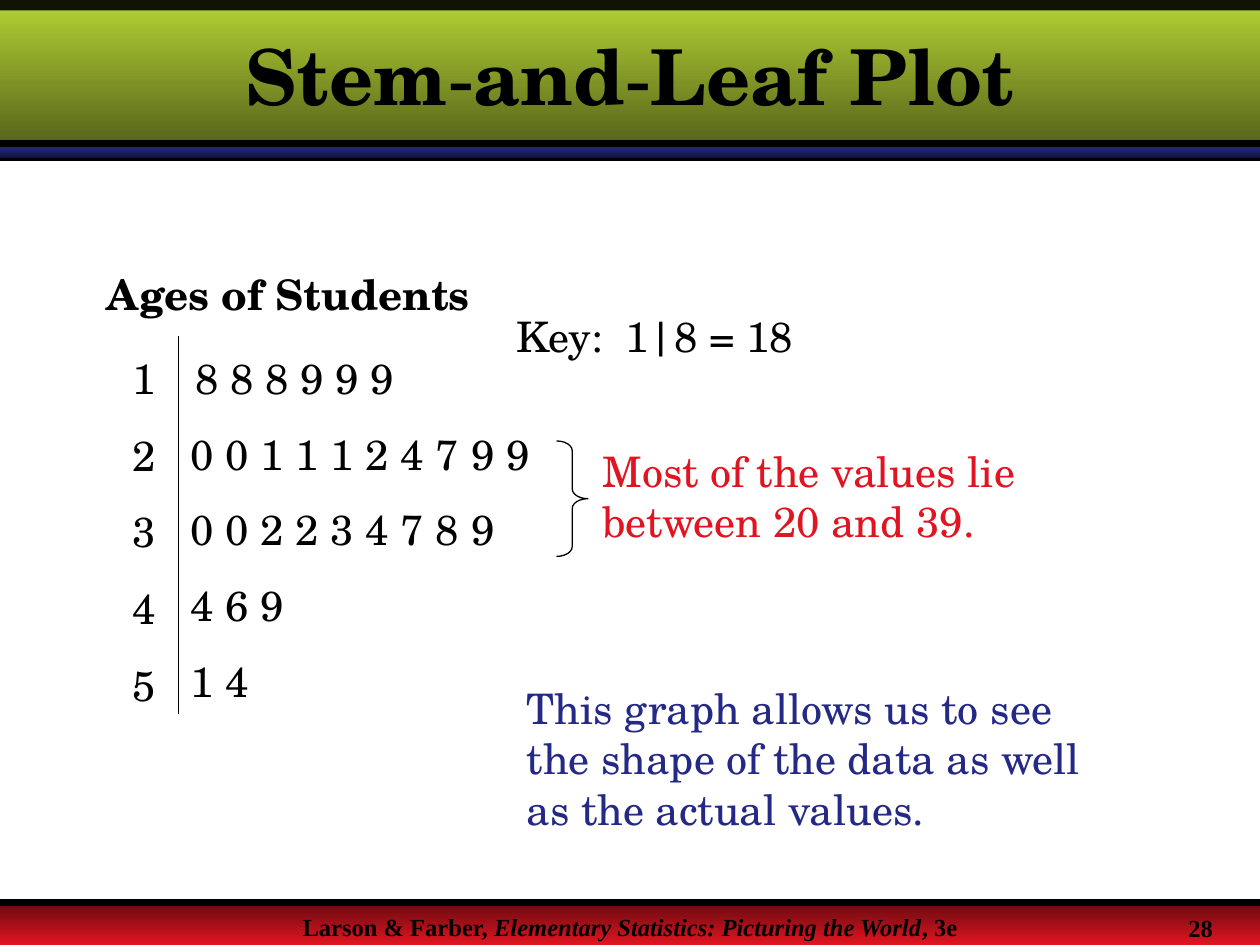
import pptx
import pptx.util
import pptx.dml.color
import pptx.enum.shapes
import pptx.enum.text
import pptx.oxml
import pptx.oxml.ns
from lxml import etree

# The slide is a grid of 120 columns by 90 rows; a box is (left, top, width, height).
COLS, ROWS = 120, 90
UNIT = pptx.util.Inches(10) // COLS
SERIF, TIMES = "TeX Gyre Schola", "Times New Roman"
INK = {
    "black": "000000", "lime": "B5D335", "moss": "546219",
    "navy": "242985", "night": "11133E", "wine": "680A0F", "red": "E11521",
}
ALIGN = pptx.enum.text.PP_ALIGN
SHAPE = pptx.enum.shapes.MSO_SHAPE
STEMS = {
    "1": "8 8 8 9 9 9",
    "2": "0 0 1 1 1 2 4 7 9 9",
    "3": "0 0 2 2 3 4 7 8 9",
    "4": "4 6 9",
    "5": "1 4",
}


def rgb(name):
    return pptx.dml.color.RGBColor.from_string(INK[name])


def emu(*units):
    return [round(u * UNIT) for u in units]


def part(box, x, y, w, h):
    """Shift a box by the corner of the region that holds it."""
    return box[0] + x, box[1] + y, w, h


def child(node, tag, **attrs):
    return etree.SubElement(node, pptx.oxml.ns.qn(tag), **attrs)


def band(slide, box, top, end=None, alpha=None):
    """Rectangle in one colour, or fading downwards to a second one."""
    rect = slide.shapes.add_shape(SHAPE.RECTANGLE, *emu(*box))
    rect.shadow.inherit = False
    rect.line.fill.background()
    if end:
        rect.fill.gradient()
        rect.fill.gradient_angle = 270
        for stop, name, place in zip(rect.fill.gradient_stops, (top, end), (0, 1)):
            stop.color.rgb = rgb(name)
            stop.position = place
    else:
        rect.fill.solid()
        rect.fill.fore_color.rgb = rgb(top)
    if alpha:
        tint = rect.fill._xPr.find(".//" + pptx.oxml.ns.qn("a:srgbClr"))
        child(tint, "a:alpha", val=str(alpha * 1000))


def rule(slide, x1, y1, x2, y2, width):
    kind = pptx.enum.shapes.MSO_CONNECTOR.STRAIGHT
    line = slide.shapes.add_connector(kind, *emu(x1, y1, x2, y2))
    line.line.color.rgb = rgb("black")
    line.line.width = pptx.util.Pt(width)
    child(line._element.spPr, "a:effectLst")


def text(slide, box, paras, size=24, color="black", bold=False,
         align=ALIGN.LEFT, middle=False, tab=None):
    """Text box; each paragraph is a list of (words, font, italic) runs."""
    frame = slide.shapes.add_textbox(*emu(*box)).text_frame
    frame.word_wrap = True
    if middle:
        frame.vertical_anchor = pptx.enum.text.MSO_ANCHOR.MIDDLE
    for i, runs in enumerate(paras):
        para = frame.add_paragraph() if i else frame.paragraphs[0]
        para.alignment = align
        if i:
            para.space_before = pptx.util.Pt(15)
        if tab:
            stops = child(para._p.get_or_add_pPr(), "a:tabLst")
            child(stops, "a:tab", pos=str(emu(tab)[0]), algn="l")
        for words, face, slant in runs:
            run = para.add_run()
            run.text = words
            run.font.name = face
            run.font.size = pptx.util.Pt(size)
            run.font.bold = bold
            run.font.italic = slant
            run.font.color.rgb = rgb(color)


def plain(words, face=SERIF):
    return [(words, face, False)]


def header(slide, box):
    wide, tall = box[2:]
    rule(slide, box[0], box[1] + tall, box[0] + wide, box[1] + tall, 4)
    band(slide, part(box, 0, tall - 1, wide, 1), "navy", "night")
    band(slide, part(box, 0, 0, wide, tall - 1), "lime", "moss")
    band(slide, part(box, 0, 0, wide, 1), "black", alpha=90)
    rule(slide, box[0], box[1] + tall - 1.3, box[0] + wide, box[1] + tall - 1.3, 4)
    title = [("Stem", SERIF), ("-", TIMES), ("and", SERIF), ("-", TIMES),
             ("Leaf Plot", SERIF)]
    text(slide, part(box, 0, 1, wide, 12.2), [[(*run, False) for run in title]],
         size=44, bold=True, align=ALIGN.CENTER, middle=True)


def footer(slide, box):
    wide, tall = box[2:]
    band(slide, box, "wine", "red")
    rule(slide, box[0], box[1], box[0] + wide, box[1], 4)
    source = [("Larson & Farber, ", TIMES, False),
              ("Elementary Statistics: Picturing the World", TIMES, True),
              (", 3e", TIMES, False)]
    text(slide, part(box, 0, 0.25, wide, 2.4), [source], size=14, bold=True,
         align=ALIGN.CENTER)
    text(slide, part(box, wide - 8, 0.4, 8, tall - 0.4), [plain("28", TIMES)],
         size=14, bold=True)


def plot(slide, box):
    """Stem-and-leaf plot: heading, stems, divider and one row of leaves per stem."""
    text(slide, part(box, 0, 0, 41, 6), [plain("Ages of Students")], bold=True)
    text(slide, part(box, 1, 8, 6, 35.3), [plain(stem) for stem in STEMS],
         align=ALIGN.RIGHT)
    x, y = box[0] + 8, box[1]
    rule(slide, x, y + 7, x, y + box[3], 0.75)
    for i, leaves in enumerate(STEMS.values()):
        inset = 0 if i else 0.4
        text(slide, part(box, 8 + inset, 8 + 7.2 * i, 47, 6), [plain(leaves)])


def notes(slide, box):
    """Key, the bracketed remark and the closing remark."""
    text(slide, part(box, 0, 0, 30, 6), [plain("Key:\t1|8 = 18")], tab=10.4)
    text(slide, part(box, 1, 35.4, 57, 15.6),
         [plain("This graph allows us to see the shape of the data as well "
                "as the actual values.")], color="navy")
    text(slide, part(box, 8.2, 12.8, 57, 10.8),
         [plain("Most of the values lie between 20 and 39.")], color="red")
    brace = slide.shapes.add_shape(SHAPE.RIGHT_BRACE, *emu(*part(box, 5, 13, 3, 11)))
    brace.adjustments[0] = 0.31
    brace.shadow.inherit = False
    brace.fill.background()
    brace.line.color.rgb = rgb("black")
    brace.line.width = pptx.util.Pt(0.75)


def main():
    deck = pptx.Presentation()
    deck.slide_width, deck.slide_height = emu(COLS, ROWS)
    slide = deck.slides.add_slide(deck.slide_layouts[6])
    header(slide, (0, 0, COLS, 15))
    footer(slide, (0, 86, COLS, 4))
    plot(slide, (9, 25, 55, 43))
    notes(slide, (48, 29, 65, 51))
    deck.save("out.pptx")


if __name__ == "__main__":
    main()
